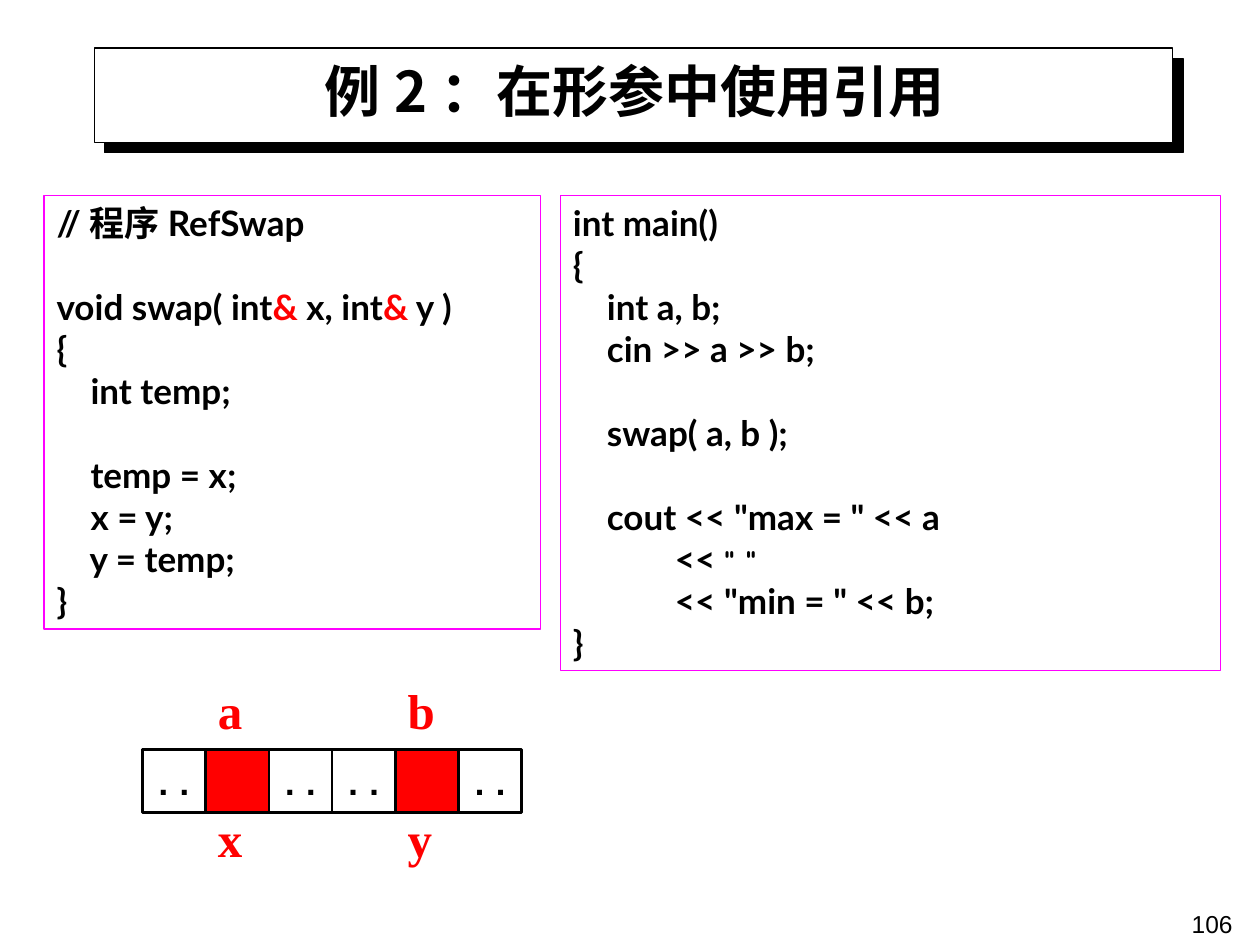
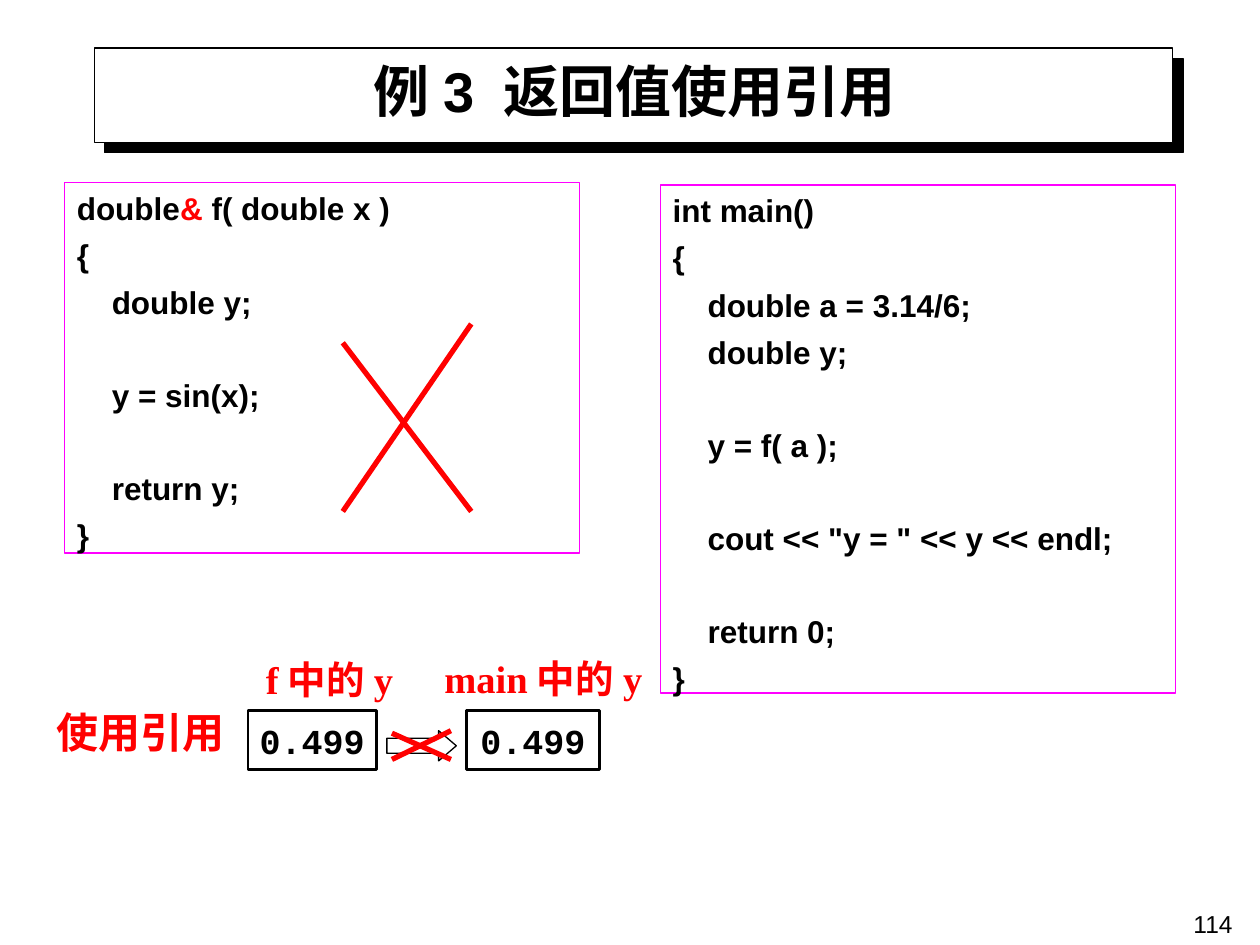
from collections import namedtuple

from lxml.etree import SubElement
from pptx import Presentation
from pptx.dml.color import RGBColor
from pptx.enum.shapes import MSO_CONNECTOR, MSO_SHAPE
from pptx.enum.text import MSO_ANCHOR, MSO_AUTO_SIZE, PP_ALIGN
from pptx.oxml.ns import qn
from pptx.util import Cm, Pt

Box = namedtuple("Box", "left top width height")

COLORS = {"ink": "000000", "paper": "FFFFFF", "accent": "FF0000", "frame": "FF00FF"}
CJK_FONT = "Noto Sans CJK SC"
TITLE_BOX = Box(1.9, 0.91, 21.8, 1.8)
BAND_BOX = Box(1.9, 0.97, 21.74, 1.9)
NUMBER_BOX = Box(19.18, 18.21, 5.92, 0.84)

TITLE = {"size": Pt(32), "bold": True}
NUMBER = {"name": "Arial", "size": Pt(14)}
CELL = {"name": "Courier New", "size": Pt(20), "bold": True}
LABEL = {"name": "Times New Roman", "bold": True, "color": "accent"}
LATO_CODE = {"name": "Lato", "size": Pt(20), "bold": True}
ARIAL_CODE = {"name": "Arial", "size": Pt(18), "bold": True}
CODE_MARKS = {
    "&": {"color": "accent"},
    '" "': {"name": "Comic Neue", "size": Pt(18)},
}

SWAP_CODE = """//程序RefSwap

void swap( int& x, int& y )
{
    int temp;

    temp = x;
    x = y;
    y = temp;
}"""

SWAP_MAIN_CODE = """int main()
{
    int a, b;
    cin >> a >> b;

    swap( a, b );

    cout << "max = " << a
            << " "
            << "min = " << b;
}"""

SINE_CODE = """double& f( double x )
{
    double y;

    y = sin(x);

    return y;
}"""

SINE_MAIN_CODE = """int main()
{
    double a = 3.14/6;
    double y;

    y = f( a );

    cout << "y = " << y << endl;

    return 0;
}"""


def color(key):
    """Return a named colour."""
    return RGBColor.from_string(COLORS[key])


def lengths(box):
    """Turn a box in centimetres into slide lengths."""
    return [Cm(value) for value in box]


def inside(box, left, top, width, height):
    """Return a box placed relative to another one."""
    return Box(box.left + left, box.top + top, width, height)


def write(para, text, style):
    """Add a formatted span to a paragraph."""
    span = para.add_run()
    span.text = text
    values = {"color": "ink", **style}
    span.font.color.rgb = color(values.pop("color"))
    for name, value in values.items():
        setattr(span.font, name, value)
    SubElement(span.font._element, qn("a:ea"), typeface=CJK_FONT)


def add_outline(page, box, line="ink", weight=0.75, fill=None, kind=MSO_SHAPE.RECTANGLE):
    """Add an outlined shape, hollow unless a fill is named."""
    shape = page.shapes.add_shape(kind, *lengths(box))
    shape.shadow.inherit = False
    if fill:
        shape.fill.solid()
        shape.fill.fore_color.rgb = color(fill)
    else:
        shape.fill.background()
    shape.line.color.rgb = color(line)
    shape.line.width = Pt(weight)
    return shape


def add_label(page, box, text, style, align=PP_ALIGN.LEFT):
    """Add one line of text centred vertically in its box."""
    frame = page.shapes.add_textbox(*lengths(box)).text_frame
    frame.word_wrap = False
    frame.vertical_anchor = MSO_ANCHOR.MIDDLE
    frame.paragraphs[0].alignment = align
    write(frame.paragraphs[0], text, style)


def add_cell(page, box, text="", fill=None):
    """Add a memory cell holding a value."""
    cell = add_outline(page, box, weight=1.5, fill=fill)
    if text:
        frame = cell.text_frame
        frame.word_wrap = False
        frame.vertical_anchor = MSO_ANCHOR.MIDDLE
        frame.paragraphs[0].alignment = PP_ALIGN.CENTER
        write(frame.paragraphs[0], text, CELL)


def add_cross(page, box, drop):
    """Strike out a box; the falling stroke starts lower by the drop."""
    right, bottom = box.left + box.width, box.top + box.height
    strokes = [
        (box.left, box.top + drop, right, bottom),
        (right, box.top, box.left, bottom),
    ]
    for stroke in strokes:
        line = page.shapes.add_connector(MSO_CONNECTOR.STRAIGHT, *lengths(stroke))
        line.line.color.rgb = color("accent")
        line.line.width = Pt(3)
        SubElement(line._element.spPr, qn("a:effectLst"))


def code_spans(line):
    """Split a code line into plain and marked pieces."""
    for mark, style in CODE_MARKS.items():
        if mark in line:
            before, found, after = line.partition(mark)
            return [(before, {}), (found, style), *code_spans(after)]
    return [(line, {})]


def add_code(page, box, code, style, line_height, gap=0):
    """Add a framed listing, with blank lines made by paragraph spacing."""
    frame = add_outline(page, box, line="frame").text_frame
    frame.word_wrap = True
    frame.vertical_anchor = MSO_ANCHOR.TOP
    para, before = frame.paragraphs[0], 0
    for line in code.split("\n"):
        if not line:
            before += line_height + gap
            continue
        if para.runs:
            para = frame.add_paragraph()
        para.alignment = PP_ALIGN.LEFT
        para.space_before = Pt(before)
        for text, extra in code_spans(line):
            if text:
                write(para, text, {**style, **extra})
        before = gap


def add_memory(page, box):
    """Draw a row of cells with variable names above and below."""
    size = box.width / 6
    names = {1: ("a", "x"), 4: ("b", "y")}
    style = {**LABEL, "size": Pt(28)}
    for index in range(6):
        left = index * size
        cell = inside(box, left, 1.44, size, size)
        if index in names:
            add_cell(page, cell, fill="accent")
            for name, top in zip(names[index], (0, 2.59)):
                add_label(page, inside(box, left, top, 1.1, 1.27), name, style)
        else:
            add_cell(page, cell, "..")


def add_returned_value(page, box):
    """Show the value in f and main with the copy between them struck out."""
    for left, width in ((4.11, 2.59), (8.51, 2.69)):
        add_cell(page, inside(box, left, 1.2, width, 1.19), "0.499")
    arrow = add_outline(page, inside(box, 6.91, 1.6, 1.4, 0.61), kind=MSO_SHAPE.RIGHT_ARROW)
    arrow.adjustments[0] = 0.5
    arrow.adjustments[1] = 0.585
    labels = [
        ("使用引用", 24, (0, 0.99, 3.9, 1.27)),
        ("f中的y", 22, (4.22, 0.13, 3.2, 0.86)),
        ("main中的y", 22, (7.82, 0, 4.6, 1.07)),
    ]
    for text, size, place in labels:
        add_label(page, inside(box, *place), text, {**LABEL, "size": Pt(size)})
    add_cross(page, inside(box, 7.01, 1.6, 1.19, 0.58), 0.05)


def prepare_layout(layout, page):
    """Give the layout its title position and shadowed band."""
    title = layout.placeholders[0]
    for name, value in zip(("left", "top", "width", "height"), lengths(TITLE_BOX)):
        setattr(title, name, value)
    band = add_outline(page, BAND_BOX, fill="paper")
    effects = band._element.spPr.find(qn("a:effectLst"))
    shadow = SubElement(
        effects, qn("a:outerShdw"), dist=str(Pt(8.5)), dir="2700000", algn="ctr", rotWithShape="0"
    )
    SubElement(shadow, qn("a:srgbClr"), val=COLORS["ink"])
    layout.shapes.element.insert(2, band.element)


def add_page(deck, title, font, number):
    """Add a page with its title and number."""
    page = deck.slides.add_slide(deck.slide_layouts[5])
    frame = page.shapes.title.text_frame
    frame.auto_size = MSO_AUTO_SIZE.NONE
    frame.vertical_anchor = MSO_ANCHOR.MIDDLE
    frame.paragraphs[0].alignment = PP_ALIGN.CENTER
    write(frame.paragraphs[0], title, {**TITLE, "name": font})
    add_label(page, NUMBER_BOX, number, NUMBER, PP_ALIGN.RIGHT)
    return page


def build_parameter_page(deck):
    """Build the page on references as parameters."""
    page = add_page(deck, "例2：在形参中使用引用", CJK_FONT, "106")
    add_code(page, Box(0.89, 3.94, 10.01, 8.74), SWAP_CODE, LATO_CODE, 24)
    add_code(page, Box(11.3, 3.94, 13.31, 9.58), SWAP_MAIN_CODE, LATO_CODE, 24)
    add_memory(page, Box(2.87, 13.67, 7.65, 3.86))
    return page


def build_return_page(deck):
    """Build the page on references as return values."""
    page = add_page(deck, "例3 返回值使用引用", "Arial", "114")
    function_box = Box(1.3, 3.68, 10.39, 7.47)
    add_code(page, function_box, SINE_CODE, ARIAL_CODE, 20.7, 5.4)
    add_code(page, Box(13.31, 3.73, 10.39, 10.24), SINE_MAIN_CODE, ARIAL_CODE, 20.7, 5.4)
    add_cross(page, inside(function_box, 5.61, 2.85, 2.59, 3.78), 0.38)
    add_returned_value(page, Box(0.89, 13.13, 11.81, 2.4))


def main():
    """Build and save the deck."""
    deck = Presentation()
    deck.slide_width, deck.slide_height = Cm(25.4), Cm(19.05)
    first_page = build_parameter_page(deck)
    prepare_layout(deck.slide_layouts[5], first_page)
    build_return_page(deck)
    deck.save("out.pptx")


if __name__ == "__main__":
    main()
